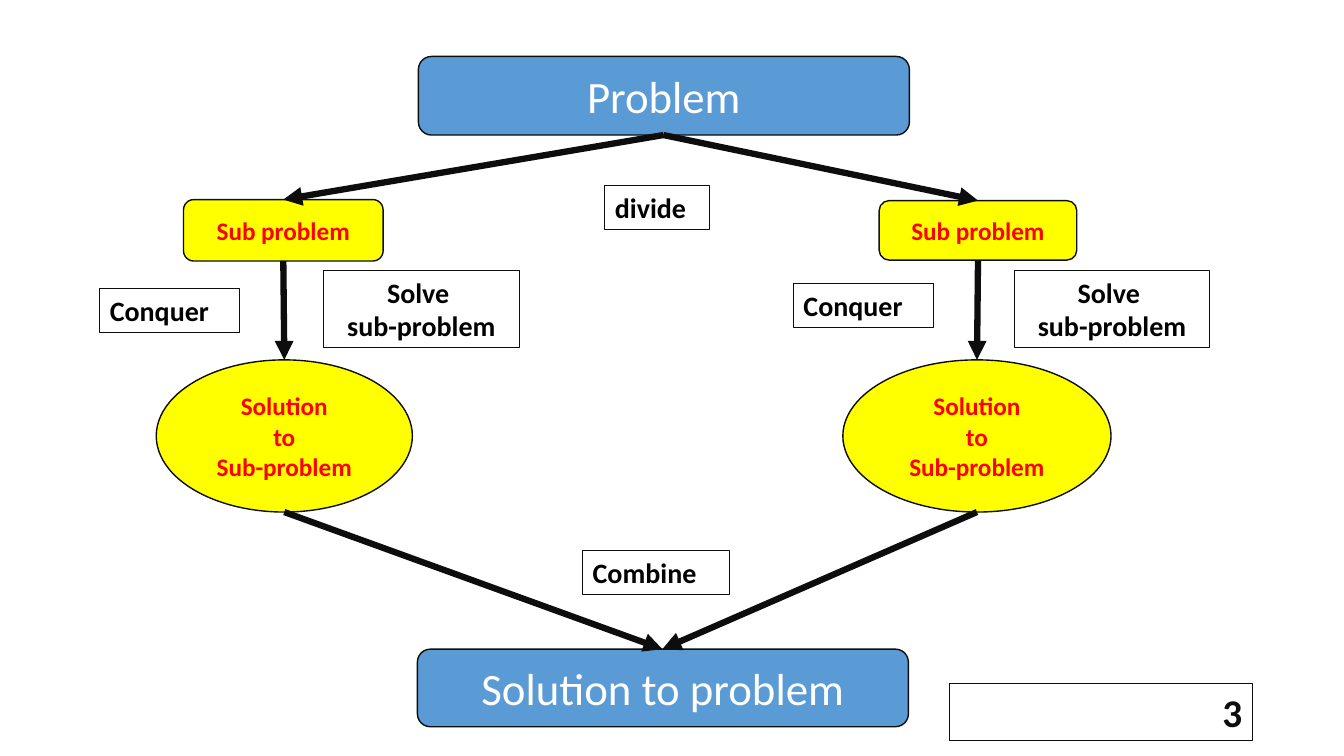
from dataclasses import dataclass
from typing import Any

import pptx
import pptx.dml.color
import pptx.enum.shapes
import pptx.enum.text
import pptx.oxml
import pptx.oxml.ns
import pptx.util

PX = 9144  # 100 px to the inch
SHAPES = pptx.enum.shapes.MSO_SHAPE
ALIGN = pptx.enum.text.PP_ALIGN
ANCHOR = pptx.enum.text.MSO_ANCHOR


@dataclass(frozen=True)
class Theme:
    font: str = "Calibri"
    ink: str = "0D0D0D"
    black: str = "000000"
    white: str = "FFFFFF"
    blue: str = "5B9BD5"
    yellow: str = "FFFF00"
    red: str = "FF0000"
    problem_size: int = 32
    number_size: int = 28
    label_size: int = 20
    step_size: int = 18
    thin: float = 0.75
    outline: float = 1
    arrow: float = 4.5


THEME = Theme()


@dataclass(frozen=True)
class Style:
    geometry: Any
    fill: str | None
    line_width: float
    size: int
    color: str
    bold: bool = True
    align: Any = ALIGN.CENTER
    anchor: Any = ANCHOR.MIDDLE


@dataclass(frozen=True)
class Box:
    text: str
    left: int
    top: int
    width: int
    height: int
    style: Style

    @property
    def top_center(self) -> tuple[int, int]:
        return self.left + self.width // 2, self.top

    @property
    def bottom_center(self) -> tuple[int, int]:
        return self.left + self.width // 2, self.top + self.height


@dataclass(frozen=True)
class Arrow:
    source: Box
    target: Box


# Styles
PROBLEM = Style(SHAPES.ROUNDED_RECTANGLE, THEME.blue, THEME.outline,
                THEME.problem_size, THEME.white, bold=False)
STEP = Style(SHAPES.ROUNDED_RECTANGLE, THEME.yellow, THEME.outline, THEME.step_size, THEME.red)
RESULT = Style(SHAPES.OVAL, THEME.yellow, THEME.outline, THEME.step_size, THEME.red)
LABEL = Style(SHAPES.RECTANGLE, None, THEME.thin, THEME.label_size, THEME.black,
              align=ALIGN.LEFT, anchor=ANCHOR.TOP)
ACTION = Style(SHAPES.RECTANGLE, None, THEME.thin, THEME.label_size, THEME.black,
               anchor=ANCHOR.TOP)
NUMBER = Style(SHAPES.RECTANGLE, None, THEME.thin, THEME.number_size, THEME.ink,
               align=ALIGN.RIGHT)

# Flow steps
SOLUTION_TEXT = "Solution\nto\nSub-problem"
problem = Box("Problem", 415, 56, 487, 78, PROBLEM)
sub_problems = (Box("Sub problem", 182, 198, 198, 61, STEP),
                Box("Sub problem", 872, 199, 196, 59, STEP))
sub_solutions = (Box(SOLUTION_TEXT, 155, 357, 254, 151, RESULT),
                 Box(SOLUTION_TEXT, 836, 357, 266, 151, RESULT))
solution = Box("Solution to problem", 414, 644, 487, 77, PROBLEM)

# Labels beside the arrows, and the slide number
labels = (
    Box("divide", 600, 184, 104, 44, LABEL),
    Box("Conquer", 99, 286, 139, 44, LABEL),
    Box("Conquer", 787, 281, 139, 44, LABEL),
    *(Box("Solve \nsub-problem", left, 268, 194, 77, ACTION) for left in (321, 1006)),
    Box("Combine", 578, 546, 146, 44, LABEL),
    Box("3", 942, 678, 300, 57, NUMBER),
)

arrows = [
    arrow
    for sub_problem, sub_solution in zip(sub_problems, sub_solutions)
    for arrow in (Arrow(problem, sub_problem), Arrow(sub_problem, sub_solution),
                  Arrow(sub_solution, solution))
]


def rgb(value: str) -> pptx.dml.color.RGBColor:
    return pptx.dml.color.RGBColor.from_string(value)


def set_values(target: Any, values: dict[str, Any]) -> None:
    for name, value in values.items():
        setattr(target, name, value)


def set_line(line: Any, width: float) -> None:
    line.width = pptx.util.Pt(width)
    line.color.rgb = rgb(THEME.ink)


def draw_box(slide: Any, box: Box) -> None:
    style = box.style
    edges = (box.left, box.top, box.width, box.height)
    shape = slide.shapes.add_shape(style.geometry, *(edge * PX for edge in edges))
    shape.shadow.inherit = False
    if style.fill:
        shape.fill.solid()
        shape.fill.fore_color.rgb = rgb(style.fill)
    else:
        shape.fill.background()
    set_line(shape.line, style.line_width)
    frame = shape.text_frame
    set_values(frame, {"text": box.text, "word_wrap": True, "vertical_anchor": style.anchor})
    for paragraph in frame.paragraphs:
        paragraph.alignment = style.align
        for run in paragraph.runs:
            set_values(run.font, {"name": THEME.font, "size": pptx.util.Pt(style.size),
                                  "bold": style.bold})
            run.font.color.rgb = rgb(style.color)


def draw_arrow(slide: Any, arrow: Arrow) -> None:
    ends = (*arrow.source.bottom_center, *arrow.target.top_center)
    connector = slide.shapes.add_connector(
        pptx.enum.shapes.MSO_CONNECTOR.STRAIGHT, *(end * PX for end in ends))
    set_line(connector.line, THEME.arrow)
    # Arrowhead, and no shadow
    properties = connector.element.spPr
    namespace = pptx.oxml.ns.nsdecls("a")
    properties.find(pptx.oxml.ns.qn("a:ln")).append(
        pptx.oxml.parse_xml(f'<a:tailEnd {namespace} type="triangle"/>'))
    properties.append(pptx.oxml.parse_xml(f"<a:effectLst {namespace}/>"))


def main() -> None:
    presentation = pptx.Presentation()
    set_values(presentation, {"slide_width": 1333 * PX, "slide_height": 750 * PX})
    slide = presentation.slides.add_slide(presentation.slide_layouts[6])
    for box in (problem, *sub_problems, *sub_solutions, solution, *labels):
        draw_box(slide, box)
    for arrow in arrows:
        draw_arrow(slide, arrow)
    presentation.save("out.pptx")


if __name__ == "__main__":
    main()
